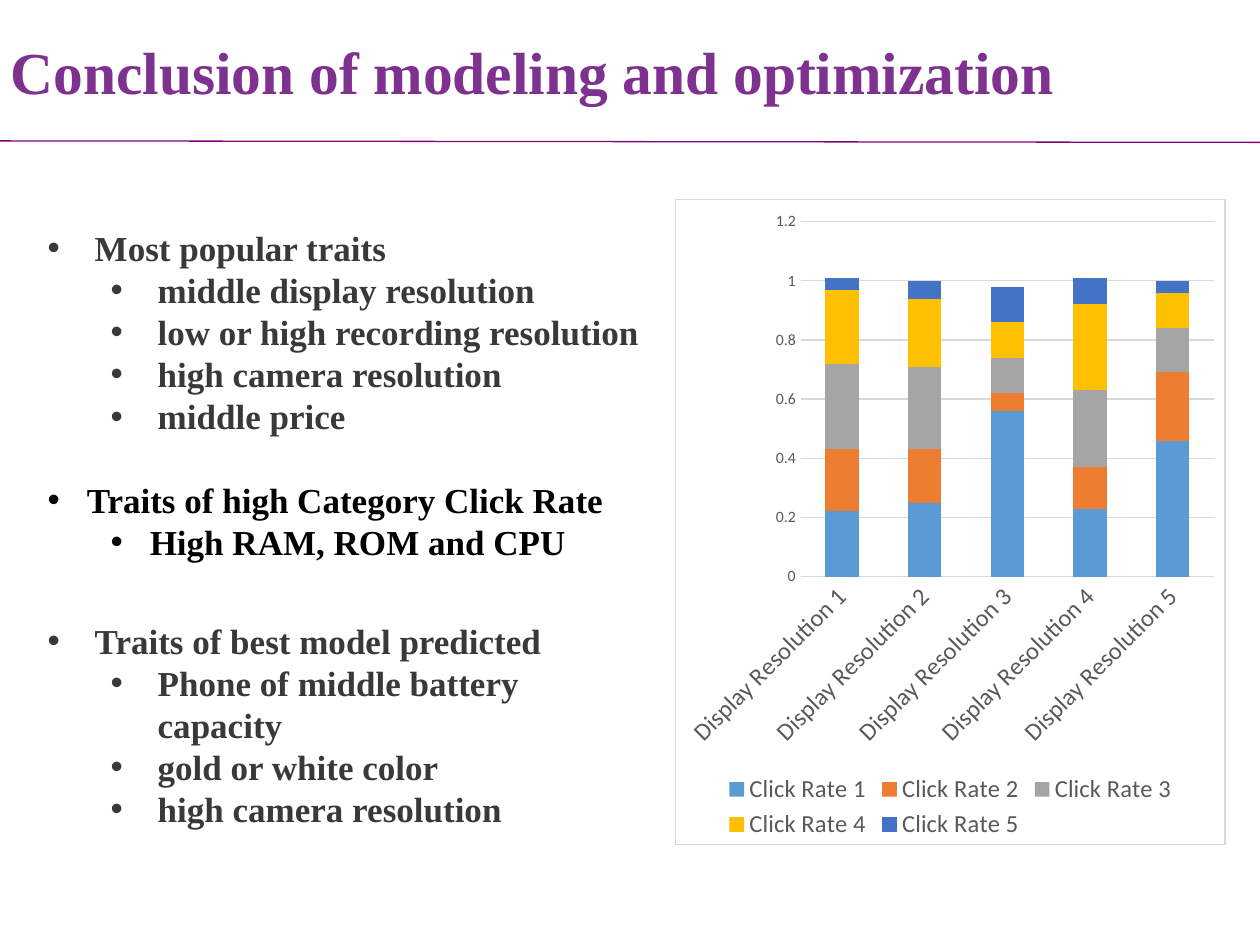
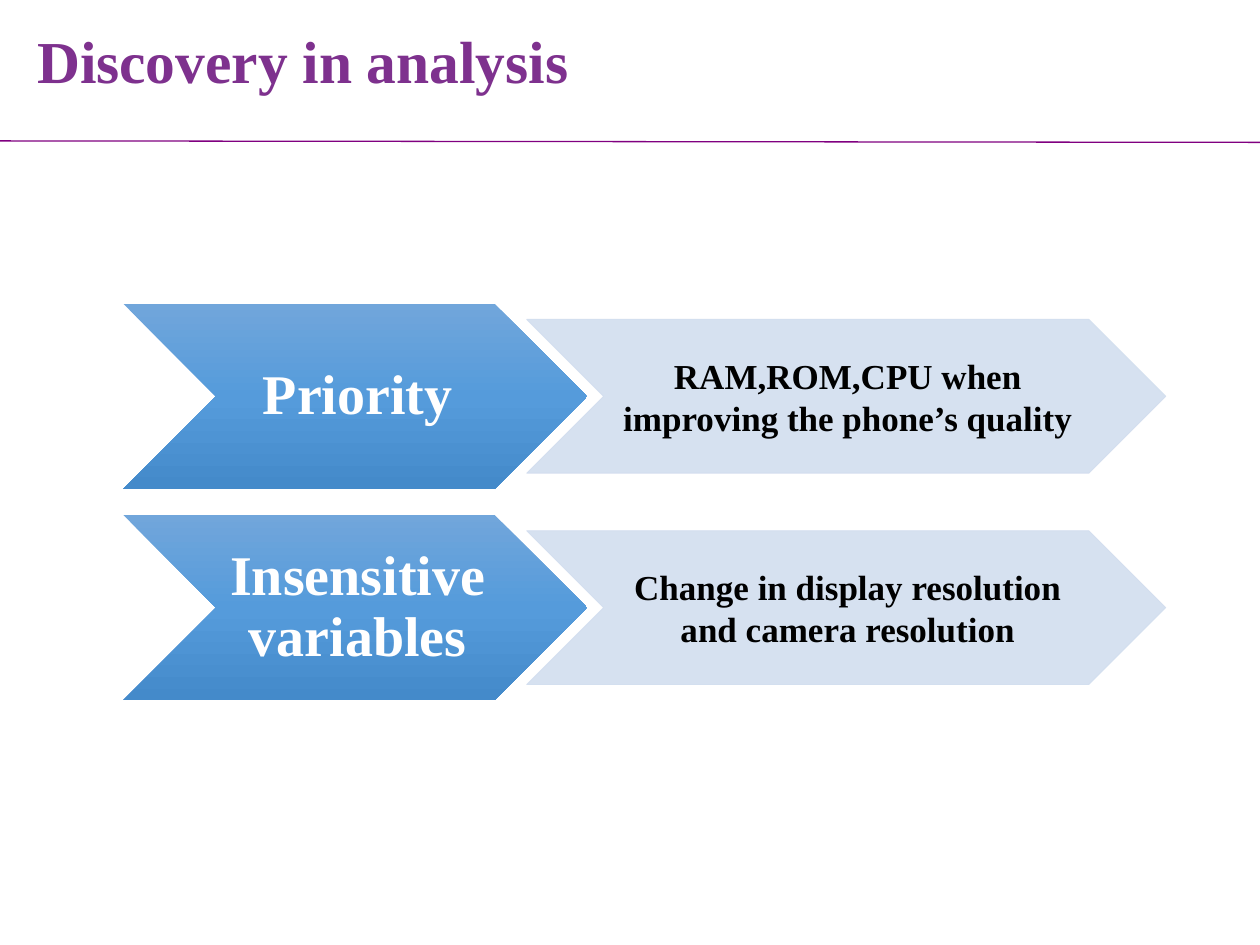
from copy import deepcopy
from dataclasses import dataclass

from lxml import etree
from pptx import Presentation
from pptx import util as u
from pptx.chart.data import CategoryChartData
from pptx.dml.color import RGBColor
from pptx.enum import chart as ch, shapes, text
from pptx.oxml import ns, parse_xml

Cm, Pt = u.Cm, u.Pt


@dataclass(frozen=True)
class Theme:
    serif: str = "Times New Roman"
    sans: str = "Calibri"
    title: str = "7E318E"
    rule: str = "800080"
    dark: str = "3B3838"
    black: str = "000000"
    white: str = "FFFFFF"
    label: str = "595959"
    grid: str = "D9D9D9"
    pale: str = "D2DEEF"
    blues: tuple = ("71A6DB", "559BDB", "448ACA")
    series: tuple = ("5B9BD5", "ED7D31", "A5A5A5", "FFC000", "4472C4")
    head: int = 34
    big: int = 32
    body: int = 20
    legend: int = 14
    base: int = 10
    tick: int = 9
    thin: float = 0.75


T = Theme()


def put(obj, **vals):
    """Set each named value as an attribute of obj."""
    for key, val in vals.items():
        setattr(obj, key, val)


def style(font, size, color, name=T.serif, bold=True):
    put(font, size=Pt(size), name=name, bold=bold)
    font.color.rgb = RGBColor.from_string(color)


def paint(fill, color):
    fill.solid()
    fill.fore_color.rgb = RGBColor.from_string(color)


def stroke(line, color, width):
    paint(line.fill, color)
    line.width = Pt(width)


def write(par, words, size, color, **form):
    run = par.add_run()
    run.text = words
    style(run.font, size, color)
    put(par, **form)


def box(slide, spot):
    frame = slide.shapes.add_textbox(*map(Cm, spot)).text_frame
    frame.word_wrap = True
    return frame


def start(deck, words, spot):
    """Add a slide with the ruled line and the title."""
    slide = deck.slides.add_slide(deck.slide_layouts[6])
    line = slide.shapes.add_connector(
        shapes.MSO_CONNECTOR.STRAIGHT, 0, Cm(2.84), deck.slide_width, Cm(2.87))
    stroke(line.line, T.rule, T.thin)
    etree.SubElement(line._element.spPr, ns.qn("a:effectLst"))
    frame = box(slide, spot)
    frame.vertical_anchor = text.MSO_ANCHOR.MIDDLE
    write(frame.paragraphs[0], words, T.head, T.title, line_spacing=0.9)
    return slide


def bullets(slide, spot, color, hang, head, items):
    """Add a heading bullet with its items one level below."""
    frame = box(slide, spot)
    frame.auto_size = text.MSO_AUTO_SIZE.SHAPE_TO_FIT_TEXT
    for i, words in enumerate([head, *items]):
        par = frame.paragraphs[0] if i == 0 else frame.add_paragraph()
        level = min(i, 1)
        write(par, words, T.body, color, level=level)
        props = par._p.get_or_add_pPr()
        props.set("marL", str(Cm(hang + 1.27 * level)))
        props.set("indent", str(-Cm(hang)))
        font = etree.SubElement(props, ns.qn("a:buFont"))
        font.set("typeface", "Arial")
        etree.SubElement(props, ns.qn("a:buChar")).set("char", "•")


def frame_chart(chart):
    """Give the chart area a white fill and a thin border."""
    area = parse_xml(
        f'<c:spPr {ns.nsdecls("c", "a")}>'
        f'<a:solidFill><a:srgbClr val="{T.white}"/></a:solidFill>'
        f'<a:ln w="{Pt(T.thin)}"><a:solidFill><a:srgbClr val="{T.grid}"/>'
        '</a:solidFill></a:ln></c:spPr>')
    chart._chartSpace.find(ns.qn("c:txPr")).addprevious(area)


def stack(slide, spot, cats, rows):
    data = CategoryChartData()
    data.categories = cats
    for name, vals in rows.items():
        data.add_series(name, vals)
    chart = slide.shapes.add_chart(
        ch.XL_CHART_TYPE.COLUMN_STACKED, *map(Cm, spot), data).chart
    style(chart.font, T.base, T.black, T.sans, False)
    frame_chart(chart)
    put(chart, has_title=False, has_legend=True)
    put(chart.legend, position=ch.XL_LEGEND_POSITION.BOTTOM,
        include_in_layout=False)
    style(chart.legend.font, T.legend, T.label, T.sans, False)

    plot = chart.plots[0]
    put(plot, gap_width=150, overlap=100, vary_by_categories=False)
    for row, color in zip(plot.series, T.series):
        paint(row.format.fill, color)

    cat, val = chart.category_axis, chart.value_axis
    for axis, size in ((cat, T.legend), (val, T.tick)):
        put(axis, major_tick_mark=ch.XL_TICK_MARK.NONE,
            minor_tick_mark=ch.XL_TICK_MARK.NONE)
        style(axis.tick_labels.font, size, T.label, T.sans, False)
    stroke(cat.format.line, T.grid, T.thin)
    cat._element.find(".//" + ns.qn("a:bodyPr")).set("rot", "-2700000")
    put(val, minimum_scale=0, maximum_scale=1.2, major_unit=0.2,
        has_major_gridlines=True)
    val.format.line.fill.background()
    stroke(val.major_gridlines.format.line, T.grid, T.thin)


def shade(shape):
    """Fill with the blue gradient, from top to bottom."""
    fill = shape.fill
    fill.gradient()
    stops = shape._element.spPr.find(".//" + ns.qn("a:gsLst"))
    stops.append(deepcopy(stops[-1]))
    fill.gradient_angle = 270
    for stop, color, place in zip(fill.gradient_stops, T.blues, (0, 0.5, 1)):
        stop.color.rgb = RGBColor.from_string(color)
        stop.position = place
    shape.line.fill.background()


def tint(shape):
    """Fill and outline with the pale colour at 90 % opacity."""
    paint(shape.fill, T.pale)
    stroke(shape.line, T.pale, 0.5)
    for color in shape._element.spPr.iter(ns.qn("a:srgbClr")):
        etree.SubElement(color, ns.qn("a:alpha")).set("val", "90000")


def arrow(slide, spot, words, size, color, finish, inset, **form):
    shape = slide.shapes.add_shape(
        shapes.MSO_SHAPE.CHEVRON, *map(Cm, spot))
    shape.shadow.inherit = False
    finish(shape)
    frame = shape.text_frame
    put(frame, word_wrap=True, vertical_anchor=text.MSO_ANCHOR.MIDDLE,
        margin_left=Cm(2 * inset), margin_right=0,
        margin_top=Cm(inset), margin_bottom=Cm(inset))
    write(frame.paragraphs[0], words, size, color,
          alignment=text.PP_ALIGN.CENTER, **form)


def pair(slide, mid, head, note):
    """Add a blue chevron and its pale note, centred on the height mid."""
    tall, low = 3.73, 3.1
    arrow(slide, (2.49, mid - tall / 2, 9.35, tall), head, T.big, T.white,
          shade, 0.05, line_spacing=0.9)
    arrow(slide, (10.62, mid - low / 2, 12.88, low), note, T.body, T.black,
          tint, 0.03)


def traits(deck):
    slide = start(deck, "Conclusion of modeling and optimization",
                  (-0.03, -0.08, 23.09, 3.18))
    stack(slide, (13.61, 4.01, 11.1, 13.03),
          [f"Display Resolution {i}" for i in range(1, 6)],
          {"Click Rate 1": (0.22, 0.25, 0.56, 0.23, 0.46),
           "Click Rate 2": (0.21, 0.18, 0.06, 0.14, 0.23),
           "Click Rate 3": (0.29, 0.28, 0.12, 0.26, 0.15),
           "Click Rate 4": (0.25, 0.23, 0.12, 0.29, 0.12),
           "Click Rate 5": (0.04, 0.06, 0.12, 0.09, 0.04)})
    bullets(slide, (0.71, 4.45, 16.79, 4.52), T.dark, 0.95,
            "Most popular traits",
            ["middle display resolution", "low or high recording resolution",
             "high camera resolution", "middle price"])
    bullets(slide, (0.71, 12.37, 11, 4.52), T.dark, 0.95,
            "Traits of best model predicted",
            ["Phone of middle battery capacity", "gold or white color",
             "high camera resolution"])
    bullets(slide, (0.71, 9.53, 14, 1.96), T.black, 0.79,
            "Traits of high Category Click Rate", ["High RAM, ROM and CPU"])


def finds(deck):
    slide = start(deck, "Discovery in analysis", (0.5, -0.3, 22.86, 3.18))
    rows = (("Priority", "RAM,ROM,CPU when improving the phone’s quality"),
            ("Insensitive variables",
             "Change in display resolution and camera resolution"))
    for i, (head, note) in enumerate(rows):
        pair(slide, 7.99 + 4.26 * i, head, note)


def main():
    deck = Presentation()
    put(deck, slide_width=Cm(25.4), slide_height=Cm(19.05))
    traits(deck)
    finds(deck)
    deck.save("out.pptx")


if __name__ == "__main__":
    main()
